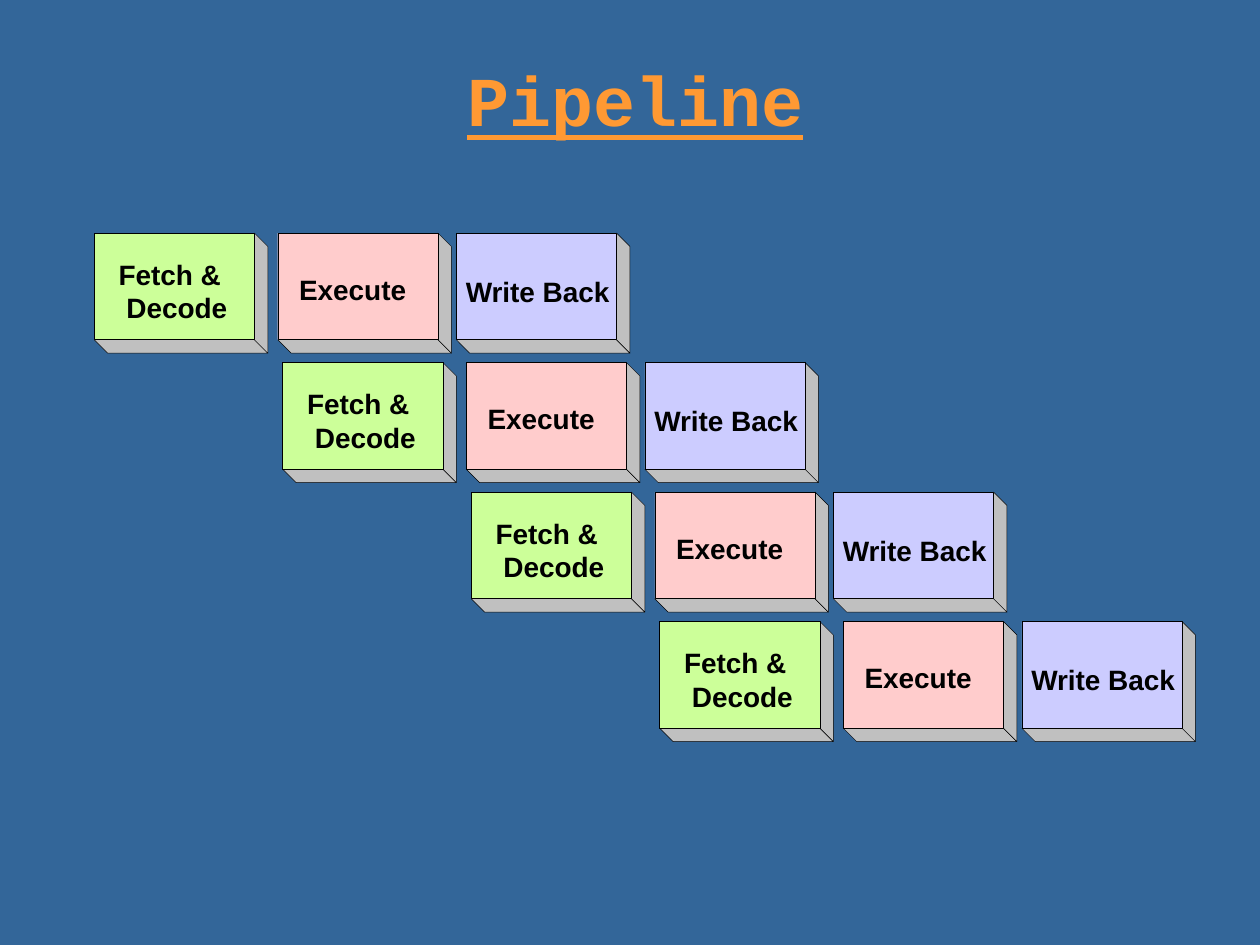
from dataclasses import dataclass

import pptx
import pptx.dml.color
import pptx.enum.shapes
import pptx.enum.text
import pptx.util
from pptx.util import Cm


@dataclass(frozen=True)
class Theme:
    background: str = "336699"
    heading: str = "FF9933"
    side: str = "C0C0C0"
    ink: str = "000000"
    heading_font: str = "Courier New"
    label_font: str = "Arial"
    heading_size: int = 40
    label_size: int = 16
    outline: float = 0.25


@dataclass(frozen=True)
class Stage:
    label: str
    color: str
    offset: float        # from the start of its instruction, cm
    label_box: tuple     # left and top within the block, width, height, cm
    wraps: bool = False


THEME = Theme()
STAGES = (
    Stage("Fetch & Decode", "CCFF99", 0, (0.49, 0.49, 2.59, 1.35), True),
    Stage("Execute", "FFCCCC", 3.7, (0.43, 0.79, 2.16, 0.69)),
    Stage("Write Back", "CCCCFF", 7.3, (0.19, 0.83, 2.92, 0.69)),
)

# Staircase of instructions, in cm
INSTRUCTIONS = 4
START_X, START_Y = 1.9, 4.7
STEP_X, STEP_Y = 3.8, 2.61
BLOCK_W, BLOCK_H, DEPTH = 3.23, 2.15, 0.27
HANGING = 0.16


def rgb(value):
    return pptx.dml.color.RGBColor.from_string(value)


def style_font(font, name, size, color):
    font.name = name
    font.size = pptx.util.Pt(size)
    font.bold = True
    font.color.rgb = rgb(color)


def paint(shape, color):
    shape.shadow.inherit = False
    shape.fill.solid()
    shape.fill.fore_color.rgb = rgb(color)
    shape.line.color.rgb = rgb(THEME.ink)
    shape.line.width = pptx.util.Pt(THEME.outline)


def add_side(shapes, corners):
    start, *others = [(Cm(x), Cm(y)) for x, y in corners]
    outline = shapes.build_freeform(*start)
    outline.add_line_segments(others, close=True)
    paint(outline.convert_to_shape(), THEME.side)


def add_label(shapes, stage, x, y):
    left, top, width, height = stage.label_box
    label = shapes.add_textbox(Cm(x + left), Cm(y + top), Cm(width), Cm(height))
    frame = label.text_frame
    frame.margin_left = frame.margin_right = 0
    frame.margin_top = frame.margin_bottom = 0
    frame.word_wrap = stage.wraps
    frame.text = stage.label
    paragraph = frame.paragraphs[0]
    if stage.wraps:
        # The second line starts slightly further in
        properties = paragraph._p.get_or_add_pPr()
        properties.set("marL", str(Cm(HANGING)))
        properties.set("indent", str(-Cm(HANGING)))
    style_font(paragraph.runs[0].font, THEME.label_font, THEME.label_size, THEME.ink)


def add_block(slide, stage, x, y):
    shapes = slide.shapes.add_group_shape().shapes
    right, bottom = x + BLOCK_W, y + BLOCK_H
    far_corner = (right + DEPTH, bottom + DEPTH)

    # Bottom and right sides, then the front
    add_side(shapes, [(right, bottom), (x, bottom),
                      (x + DEPTH, bottom + DEPTH), far_corner])
    add_side(shapes, [far_corner, (right, bottom),
                      (right, y), (right + DEPTH, y + DEPTH)])
    front = shapes.add_shape(pptx.enum.shapes.MSO_SHAPE.RECTANGLE,
                             Cm(x), Cm(y), Cm(BLOCK_W), Cm(BLOCK_H))
    paint(front, stage.color)
    add_label(shapes, stage, x, y)


def set_heading(slide, text):
    heading = slide.shapes.title
    heading.left, heading.top = Cm(6.3), Cm(0.71)
    heading.width, heading.height = Cm(13), Cm(1.96)
    frame = heading.text_frame
    frame.text = text
    frame.auto_size = pptx.enum.text.MSO_AUTO_SIZE.NONE
    frame.vertical_anchor = pptx.enum.text.MSO_ANCHOR.TOP
    frame.margin_top, frame.margin_bottom = Cm(0.43), 0
    paragraph = frame.paragraphs[0]
    paragraph.alignment = pptx.enum.text.PP_ALIGN.CENTER
    font = paragraph.runs[0].font
    style_font(font, THEME.heading_font, THEME.heading_size, THEME.heading)
    font.underline = True


def main():
    deck = pptx.Presentation()
    deck.slide_width, deck.slide_height = Cm(25.4), Cm(19.05)
    slide = deck.slides.add_slide(deck.slide_layouts.get_by_name("Title Only"))
    slide.background.fill.solid()
    slide.background.fill.fore_color.rgb = rgb(THEME.background)

    set_heading(slide, "Pipeline")

    # Each instruction starts one step after the previous one
    for instruction in range(INSTRUCTIONS):
        x = START_X + instruction * STEP_X
        y = START_Y + instruction * STEP_Y
        for stage in STAGES:
            add_block(slide, stage, x + stage.offset, y)

    deck.save("out.pptx")


if __name__ == "__main__":
    main()
